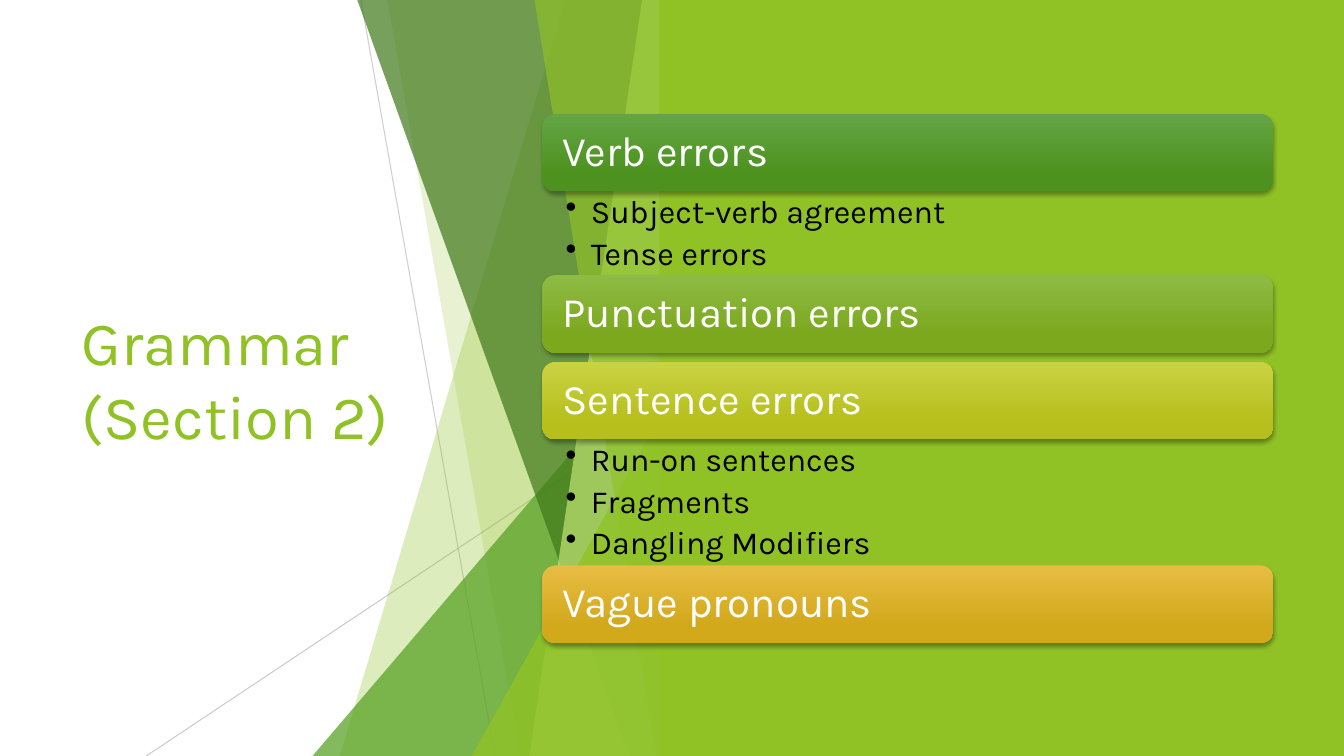
from dataclasses import dataclass
from typing import Any

from pptx import Presentation
from pptx.dml.color import RGBColor
from pptx.enum.shapes import MSO_CONNECTOR as Connector, MSO_SHAPE as Preset
from pptx.enum.text import MSO_ANCHOR as Anchor, MSO_AUTO_SIZE as AutoSize, PP_ALIGN as Align
from pptx.oxml.ns import qn
from pptx.util import Inches, Pt
from lxml.etree import SubElement

Point = tuple[float, float]


@dataclass(frozen=True)
class Theme:
    font: str = "Karla"
    title_size: int = 44
    topic_size: int = 30
    detail_size: int = 23
    green: str = "90C226"
    leaf: str = "54A021"
    forest: str = "3F7819"
    lime: str = "C0E474"
    ray: str = "BFBFBF"
    white: str = "FFFFFF"
    black: str = "000000"


@dataclass(frozen=True)
class Ray:
    start: Point
    end: Point
    opacity: int


@dataclass(frozen=True)
class Facet:
    """Band from a top edge to the bottom edge, flush with the right side."""
    top_left: float
    bottom_left: float
    color: str
    opacity: int


@dataclass(frozen=True)
class Wedge:
    """Right triangle rising to the right side."""
    left: float
    top: float
    color: str
    opacity: int


@dataclass(frozen=True)
class Topic:
    heading: str
    light: str
    dark: str
    details: tuple[str, ...] = ()
    space_below: float = 0.09


THEME = Theme()
WIDTH, HEIGHT = 13.33, 7.5
FACET_RIGHT, FACET_TOP = 6.66, -0.01
TOPIC_LEFT, TOPIC_TOP, TOPIC_WIDTH, TOPIC_HEIGHT = 5.38, 1.13, 7.25, 0.77

RAYS = (Ray((3.58, 0), (4.91, HEIGHT), 75), Ray((6.66, 4.03), (1.45, HEIGHT), 80))
FACETS = (
    Facet(5.61, 3.37, THEME.green, 30),
    Facet(3.84, 5.16, THEME.green, 20),
    Wedge(3.1, 3.33, THEME.leaf, 72),
    Facet(3.54, 6.24, THEME.forest, 70),
    Facet(6.37, 5.25, THEME.lime, 70),
    Facet(5.3, 6.51, THEME.green, 65),
    Wedge(4.68, 3.93, THEME.green, 80),
)
TOPICS = (
    Topic("Verb errors", "63A545", "4D921E",
          ("Subject-verb agreement", "Tense errors"), 0.83),
    Topic("Punctuation errors", "8EBB44", "7BA81D"),
    Topic("Sentence errors", "CAD243", "B6BF1B",
          ("Run-on sentences", "Fragments", "Dangling Modifiers"), 1.25),
    Topic("Vague pronouns", "E7BC43", "D2A91B"),
)


def apply(target: Any, formats: dict[str, Any]) -> None:
    for name, value in formats.items():
        setattr(target, name, value)


def paint(fill: Any, color: str) -> None:
    fill.solid()
    fill.fore_color.rgb = RGBColor.from_string(color)


def set_opacity(shape: Any, percent: int) -> None:
    for color in shape._element.iter(qn("a:srgbClr")):
        SubElement(color, qn("a:alpha"), val=str(percent * 1000))


def finish(shape: Any, color: str, opacity: int = 100) -> None:
    shape.shadow.inherit = False
    paint(shape.fill, color)
    shape.line.fill.background()
    if opacity < 100:
        set_opacity(shape, opacity)


def write(paragraph: Any, text: str, size: int, color: str, **formats: Any) -> None:
    run = paragraph.add_run()
    run.text = text
    apply(run.font, {"name": THEME.font, "size": Pt(size)})
    run.font.color.rgb = RGBColor.from_string(color)
    apply(paragraph, {"alignment": Align.LEFT, **formats})


def frame_format(anchor: Any, side: float, edge: float) -> dict[str, Any]:
    return {"word_wrap": True, "auto_size": AutoSize.NONE, "vertical_anchor": anchor,
            "margin_left": Inches(side), "margin_right": Inches(side),
            "margin_top": Inches(edge), "margin_bottom": Inches(edge)}


def draw_title(slide: Any, text: str) -> None:
    title = slide.shapes.title
    apply(title, {"left": Inches(0.71), "top": Inches(1.51),
                  "width": Inches(3.88), "height": Inches(4.48)})
    apply(title.text_frame, frame_format(Anchor.MIDDLE, 0.1, 0.05))
    write(title.text_frame.paragraphs[0], text, THEME.title_size, THEME.green)


def draw_ray(slide: Any, ray: Ray) -> None:
    ends = [Inches(value) for value in ray.start + ray.end]
    line = slide.shapes.add_connector(Connector.STRAIGHT, *ends)
    line.line.width = Pt(0.75)
    paint(line.line.fill, THEME.ray)
    set_opacity(line, ray.opacity)
    SubElement(line._element.spPr, qn("a:effectLst"))


def draw_facet(slide: Any, facet: Facet) -> None:
    corners = [(facet.top_left, FACET_TOP), (FACET_RIGHT, FACET_TOP),
               (FACET_RIGHT, HEIGHT), (facet.bottom_left, HEIGHT)]
    start, *others = [(Inches(x), Inches(y)) for x, y in corners]
    outline = slide.shapes.build_freeform(*start)
    outline.add_line_segments(others, close=True)
    finish(outline.convert_to_shape(), facet.color, facet.opacity)


def draw_wedge(slide: Any, wedge: Wedge) -> None:
    triangle = slide.shapes.add_shape(
        Preset.ISOSCELES_TRIANGLE, Inches(wedge.left), Inches(wedge.top),
        Inches(FACET_RIGHT - wedge.left), Inches(HEIGHT - wedge.top))
    triangle.adjustments[0] = 1
    finish(triangle, wedge.color, wedge.opacity)


def draw_heading(slide: Any, topic: Topic, top: float) -> None:
    bar = slide.shapes.add_shape(
        Preset.ROUNDED_RECTANGLE, Inches(TOPIC_LEFT), Inches(top),
        Inches(TOPIC_WIDTH), Inches(TOPIC_HEIGHT))
    bar.line.fill.background()
    bar.fill.gradient()
    bar.fill.gradient_angle = 270
    shades = ((0, topic.light), (0.78, topic.dark))
    for stop, (position, color) in zip(bar.fill.gradient_stops, shades):
        stop.position = position
        stop.color.rgb = RGBColor.from_string(color)
    # Soft shadow below the bar
    bar.shadow.inherit = False
    effects = bar._element.spPr.find(qn("a:effectLst"))
    shadow = SubElement(effects, qn("a:outerShdw"), blurRad=str(Pt(3)), dist=str(Pt(2)),
                        dir="5400000", rotWithShape="0")
    shade = SubElement(shadow, qn("a:srgbClr"), val=THEME.black)
    SubElement(shade, qn("a:alpha"), val="35000")
    apply(bar.text_frame, frame_format(Anchor.MIDDLE, 0.16, 0.12))
    write(bar.text_frame.paragraphs[0], topic.heading, THEME.topic_size, THEME.white,
          line_spacing=0.9)


def draw_details(slide: Any, topic: Topic, top: float) -> None:
    box = slide.shapes.add_textbox(Inches(TOPIC_LEFT), Inches(top),
                                   Inches(TOPIC_WIDTH), Inches(topic.space_below))
    frame = box.text_frame
    apply(frame, frame_format(Anchor.TOP, 0.23, 0.04))
    for index, detail in enumerate(topic.details):
        paragraph = frame.add_paragraph() if index else frame.paragraphs[0]
        write(paragraph, detail, THEME.detail_size, THEME.black,
              level=1, line_spacing=0.9, space_after=Pt(5))
        properties = paragraph._p.get_or_add_pPr()
        properties.set("marL", str(Inches(0.25)))
        properties.set("indent", str(-Inches(0.25)))
        SubElement(properties, qn("a:buChar"), char="•")


def main() -> None:
    deck = Presentation()
    apply(deck, {"slide_width": Inches(WIDTH), "slide_height": Inches(HEIGHT)})
    slide = deck.slides.add_slide(deck.slide_layouts.get_by_name("Title Only"))
    paint(slide.background.fill, THEME.white)
    draw_title(slide, "Grammar (Section 2)")

    # Faceted background
    for ray in RAYS:
        draw_ray(slide, ray)
    for facet in FACETS:
        if isinstance(facet, Wedge):
            draw_wedge(slide, facet)
        else:
            draw_facet(slide, facet)
    panel = slide.shapes.add_shape(Preset.RECTANGLE, Inches(6.54), 0,
                                   Inches(WIDTH - 6.54), Inches(HEIGHT))
    finish(panel, THEME.green)

    # Topics stacked from top to bottom
    top = TOPIC_TOP
    for topic in TOPICS:
        draw_heading(slide, topic, top)
        top += TOPIC_HEIGHT
        if topic.details:
            draw_details(slide, topic, top)
        top += topic.space_below
    deck.save("out.pptx")


if __name__ == "__main__":
    main()
